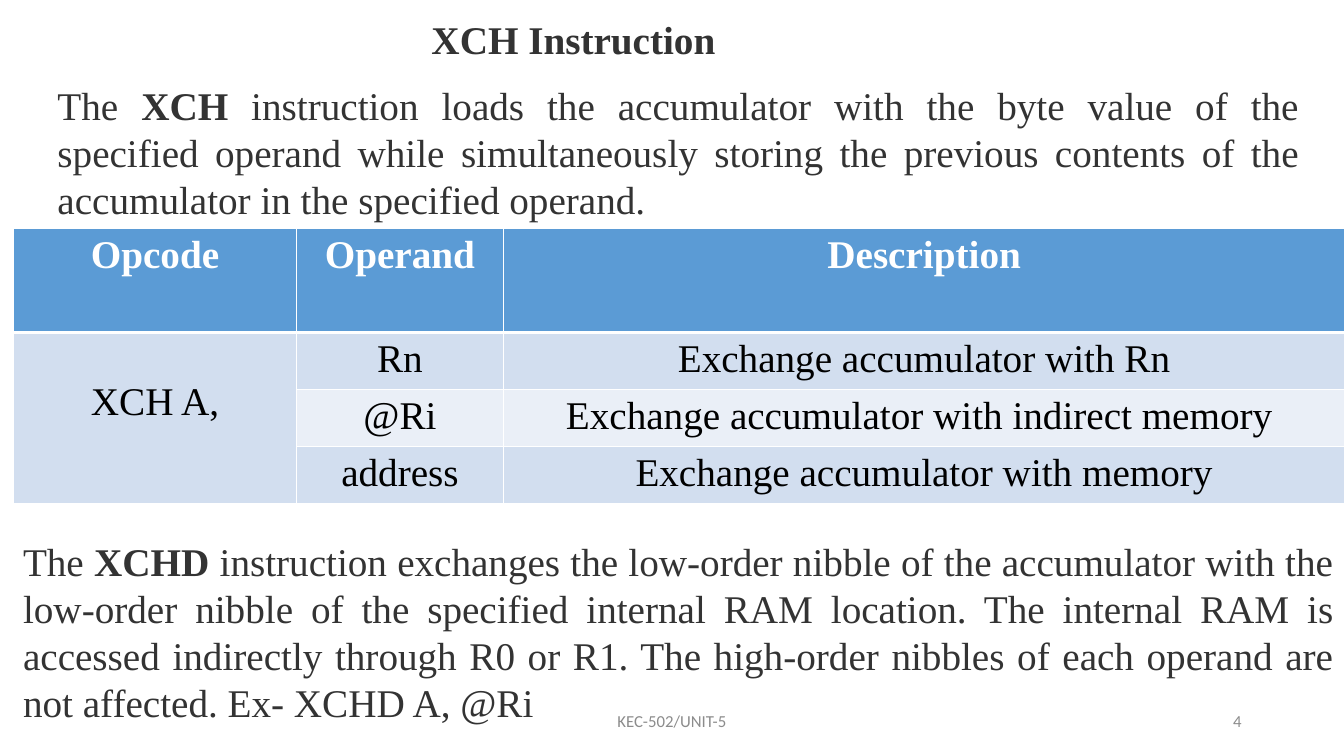
from dataclasses import dataclass

from lxml import etree
from pptx import Presentation
from pptx.dml.color import RGBColor
from pptx.enum import text
from pptx.oxml import ns
from pptx.util import Pt


@dataclass(frozen=True)
class Theme:
    serif: str = "Times New Roman"
    sans: str = "Calibri"
    body_size: int = 28
    footer_size: int = 12
    ink: str = "333333"
    muted: str = "8C8C8C"
    black: str = "000000"
    white: str = "FFFFFF"
    header: str = "5B9BD5"
    band_dark: str = "D2DEEF"
    band_light: str = "EAEFF7"


THEME = Theme()
ALIGN = text.PP_ALIGN
ANCHOR = text.MSO_ANCHOR

ROWS = [
    ("Opcode", "Operand", "Description"),
    ("XCH A,", "Rn", "Exchange accumulator with Rn"),
    ("", "@Ri", "Exchange accumulator with indirect memory "),
    ("", "address", "Exchange accumulator with memory"),
]
COLUMN_WIDTHS = (202.3, 147.6, 601.2)
ROW_HEIGHTS = (74, 40.7, 40.7, 40.7)
OPCODE_TOP_MARGIN = 34.5

XCH_TEXT = (
    ("The ", False),
    ("XCH", True),
    (" instruction loads the accumulator with the byte value of the specified "
     "operand while simultaneously storing the previous contents of the "
     "accumulator in the specified operand.", False),
)
XCHD_TEXT = (
    ("The ", False),
    ("XCHD", True),
    (" instruction exchanges the low-order nibble of the accumulator with the "
     "low-order nibble of the specified internal RAM location. The internal RAM "
     "is accessed indirectly through R0 or R1. The high-order nibbles of each "
     "operand are not affected. Ex- XCHD A, @Ri", False),
)


def style_span(span, color, size=THEME.body_size, font=THEME.serif, bold=False):
    span.font.name = font
    span.font.size = Pt(size)
    span.font.bold = bold
    span.font.color.rgb = RGBColor.from_string(color)


def add_title(page, words, left, top, width, height):
    box = page.shapes.title
    box.left, box.top, box.width, box.height = map(Pt, (left, top, width, height))
    frame = box.text_frame
    frame.text = words
    frame.word_wrap = False
    frame.auto_size = text.MSO_AUTO_SIZE.NONE
    frame.vertical_anchor = ANCHOR.TOP
    para = frame.paragraphs[0]
    para.alignment = ALIGN.LEFT
    style_span(para.runs[0], THEME.ink, bold=True)


def add_box(page, left, top, width, height, align, anchor=ANCHOR.TOP):
    box = page.shapes.add_textbox(*map(Pt, (left, top, width, height)))
    frame = box.text_frame
    frame.word_wrap = True
    frame.vertical_anchor = anchor
    para = frame.paragraphs[0]
    para.alignment = align
    return para


def add_body(page, parts, left, top, width, height):
    para = add_box(page, left, top, width, height, ALIGN.JUSTIFY)
    for words, bold in parts:
        span = para.add_run()
        span.text = words
        style_span(span, THEME.ink, bold=bold)


def add_footer(page, words, left, width, align):
    para = add_box(page, left, 500.4, width, 28.8, align, ANCHOR.MIDDLE)
    para.text = words
    style_span(para.runs[0], THEME.muted, THEME.footer_size, THEME.sans)


def set_borders(cell, top, bottom):
    properties = cell._tc.get_or_add_tcPr()
    widths = (("lnL", 1), ("lnR", 1), ("lnT", top), ("lnB", bottom))
    for index, (side, width) in enumerate(widths):
        line = etree.Element(ns.qn(f"a:{side}"), w=str(Pt(width)))
        fill = etree.SubElement(line, ns.qn("a:solidFill"))
        etree.SubElement(fill, ns.qn("a:srgbClr"), val=THEME.white)
        properties.insert(index, line)


def fill_cell(cell, words, row):
    is_header = row == 0
    band = THEME.band_dark if row % 2 else THEME.band_light
    cell.fill.solid()
    cell.fill.fore_color.rgb = RGBColor.from_string(THEME.header if is_header else band)
    set_borders(cell, top=3 if row == 1 else 1, bottom=3 if is_header else 1)
    if words:
        cell.text = words
        para = cell.text_frame.paragraphs[0]
        para.alignment = ALIGN.CENTER
        style_span(para.runs[0], THEME.white if is_header else THEME.black, bold=is_header)


def add_opcode_table(page, left, top):
    size = sum(COLUMN_WIDTHS), sum(ROW_HEIGHTS)
    table = page.shapes.add_table(
        len(ROWS), len(COLUMN_WIDTHS), *map(Pt, (left, top, *size))
    ).table
    for column, width in zip(table.columns, COLUMN_WIDTHS):
        column.width = Pt(width)
    for row, height in zip(table.rows, ROW_HEIGHTS):
        row.height = Pt(height)
    for row, entries in enumerate(ROWS):
        for column, words in enumerate(entries):
            fill_cell(table.cell(row, column), words, row)
    opcode = table.cell(1, 0)
    opcode.merge(table.cell(3, 0))
    opcode.margin_top = Pt(OPCODE_TOP_MARGIN)


def main():
    deck = Presentation()
    deck.slide_width, deck.slide_height = Pt(960), Pt(540)
    page = deck.slides.add_slide(deck.slide_layouts.get_by_name("Title Only"))
    add_footer(page, "KEC-502/UNIT-5", 318, 324, ALIGN.CENTER)
    add_footer(page, "4", 678, 216, ALIGN.RIGHT)
    add_title(page, "XCH Instruction", 301, 7.2, 219.6, 41)
    add_body(page, XCH_TEXT, 34, 54.6, 901.2, 108.8)
    add_opcode_table(page, 9.6, 163.5)
    add_body(page, XCHD_TEXT, 9.4, 380.2, 950.4, 143.3)
    deck.save("out.pptx")


if __name__ == "__main__":
    main()
